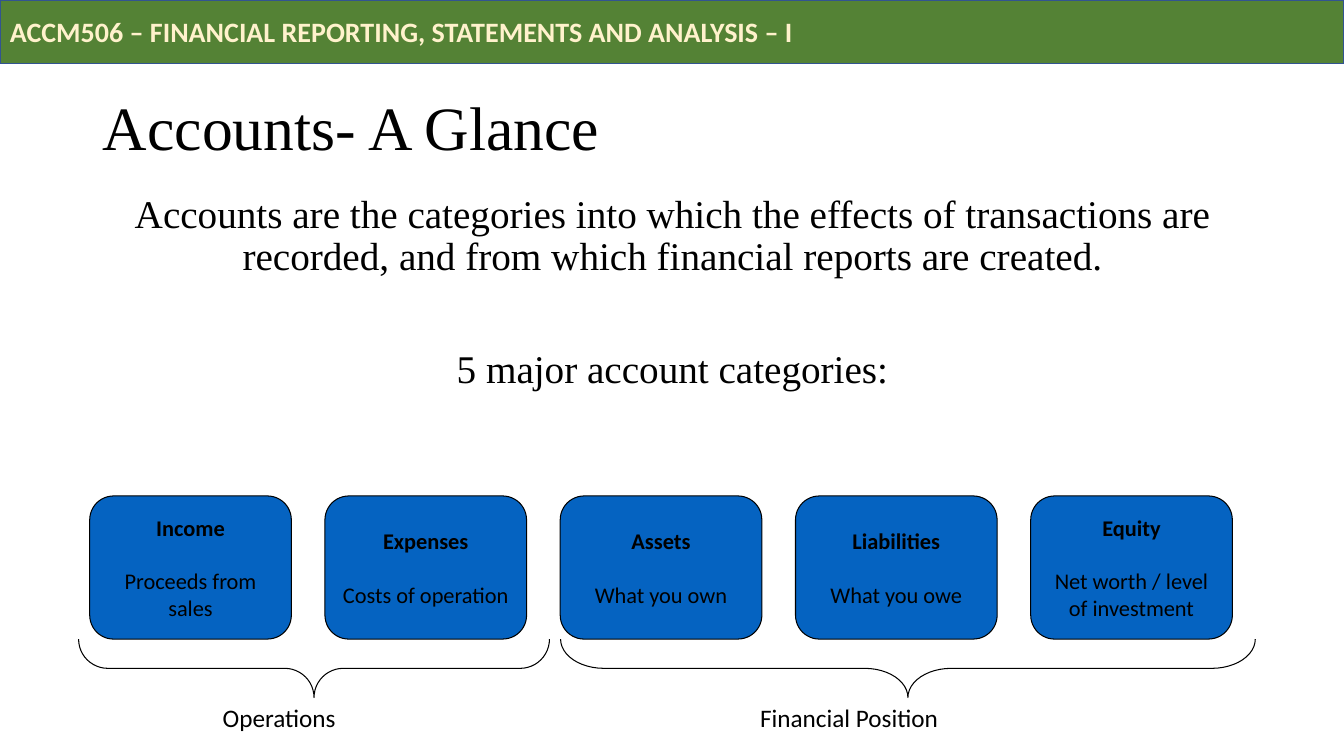
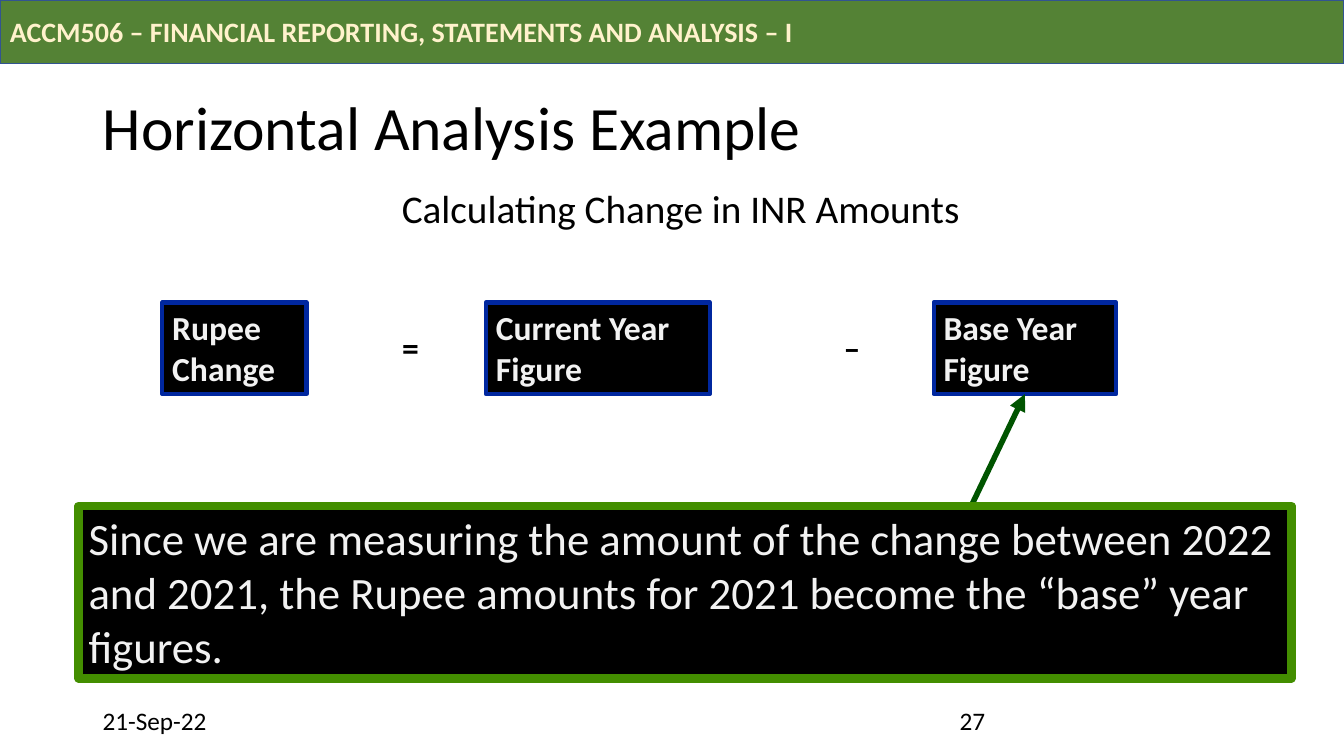
from lxml import etree
from pptx import Presentation
from pptx.dml.color import RGBColor
from pptx.enum.shapes import MSO_CONNECTOR as Link, MSO_SHAPE as Shape
from pptx.enum.text import MSO_ANCHOR as Anchor, PP_ALIGN as Align
from pptx.oxml.ns import qn
from pptx.util import Inches, Pt

SANS, SERIF = "Calibri", "Times New Roman"
BLACK, PALE = "000000", "F2F2F2"
WIDE = 13.33

COURSE = "ACCM506 – FINANCIAL REPORTING, STATEMENTS AND ANALYSIS – I"

INTRO = [
    "Accounts are the categories into which the effects of transactions are "
    "recorded, and from which financial reports are created.",
    "5 major account categories:",
]
CARDS = [
    ("Income", "Proceeds from sales"),
    ("Expenses", "Costs of operation"),
    ("Assets", "What you own"),
    ("Liabilities", "What you owe"),
    ("Equity", "Net worth / level of investment"),
]
# label, label left, label width, brace left, brace right, brace curve
GROUPS = [
    ("Operations", 2.11, 2, 0.78, 5.45, 0.5),
    ("Financial Position", 7.44, 3.22, 5.56, 12.45, 0.74),
]
# lines, left, width
TERMS = [
    (["Rupee", "Change"], 1.61, 1.43),
    (["Current Year", "Figure"], 4.82, 2.22),
    (["Base Year", "Figure"], 9.26, 1.81),
]
SIGNS = [("=", 3.89), ("–", 8.27)]
NOTE = ("Since we are measuring the amount of the change between 2022 and 2021, "
        "the Rupee amounts for 2021 become the “base” year figures.")
FOOTER = [("21-Sep-22", 0.92), ("27", 9.42)]


def rgb(code):
    return RGBColor.from_string(code)


def write(item, lines, size, color=BLACK, face=SANS, bold=False,
          align=Align.LEFT, anchor=Anchor.TOP, space=None, gap=0):
    """Fill a shape with paragraphs, gap points apart."""
    frame = item.text_frame
    frame.word_wrap = True
    frame.vertical_anchor = anchor
    frame.text = "\n".join(lines)
    for i, para in enumerate(frame.paragraphs):
        para.alignment = align
        para.line_spacing = space
        para.space_before = Pt(gap if i else 0)
        font = para.font
        font.name, font.size, font.bold = face, Pt(size), bold
        font.color.rgb = rgb(color)
    return frame


def add_text(slide, box, lines, size, **style):
    item = slide.shapes.add_textbox(*map(Inches, box))
    write(item, lines, size, **style)


def add_box(slide, kind, box, fill, line, width):
    item = slide.shapes.add_shape(kind, *map(Inches, box))
    item.shadow.inherit = False
    if fill:
        item.fill.solid()
        item.fill.fore_color.rgb = rgb(fill)
    else:
        item.fill.background()
    item.line.color.rgb = rgb(line)
    item.line.width = Pt(width)
    return item


def add_brace(slide, left, right, top, depth, curve):
    """Draw a brace that opens upward, by turning a left brace."""
    span = right - left
    box = ((left + right - depth) / 2, top + (depth - span) / 2, depth, span)
    brace = add_box(slide, Shape.LEFT_BRACE, box, None, BLACK, 0.75)
    brace.rotation = 270
    brace.adjustments[0] = curve


def add_arrow(slide, start, target):
    """Draw an arrow from a point to the bottom of the target box."""
    x, y = map(Inches, start)
    arrow = slide.shapes.add_connector(Link.STRAIGHT, x, y, x, y)
    arrow.end_connect(target, 2)
    arrow.line.color.rgb = rgb("005400")
    arrow.line.width = Pt(4)
    etree.SubElement(arrow.line._get_or_add_ln(), qn("a:tailEnd"), type="triangle")
    etree.SubElement(arrow.element.spPr, qn("a:effectLst"))


def add_slide(deck, title, face):
    slide = deck.slides.add_slide(deck.slide_layouts[5])
    head = slide.shapes.title
    head.left, head.top, head.width, head.height = map(
        Inches, (0.92, 0.74, 11.5, 1.1))
    write(head, [title], 44, face=face, anchor=Anchor.MIDDLE, space=0.9)
    return slide


def add_band(slide):
    """Place the course band on the layout, behind every slide that uses it."""
    band = add_box(slide, Shape.RECTANGLE, (0, 0, WIDE, 0.63),
                   "548235", "325491", 1)
    write(band, [COURSE], 20, color="FFF2CC", bold=True, anchor=Anchor.MIDDLE)
    slide.slide_layout.shapes.element.insert(2, band.element)


def show_accounts(deck):
    slide = add_slide(deck, "Accounts- A Glance", SERIF)
    add_band(slide)
    add_text(slide, (0.67, 1.88, 12, 3.2), INTRO, 28, face=SERIF,
             align=Align.CENTER, space=0.9, gap=50)
    for i, card in enumerate(CARDS):
        box = (0.89 + i * 7 / 3, 4.92, 2, 1.42)
        item = add_box(slide, Shape.ROUNDED_RECTANGLE, box, "0563C1", BLACK, 0.75)
        frame = write(item, card, 16, align=Align.CENTER,
                      anchor=Anchor.MIDDLE, gap=19)
        frame.paragraphs[0].font.bold = True
    for label, x, width, left, right, curve in GROUPS:
        add_brace(slide, left, right, 6.34, 0.58, curve)
        add_text(slide, (x, 6.92, width, 0.4), [label], 18)


def show_change(deck):
    slide = add_slide(deck, "Horizontal Analysis Example", SANS)
    add_text(slide, (0.78, 1.83, 11.94, 0.81),
             ["Calculating Change in INR Amounts"], 28,
             align=Align.CENTER, space=0.9)
    for lines, x, width in TERMS:
        term = add_box(slide, Shape.RECTANGLE, (x, 3, width, 0.91),
                       BLACK, "00279F", 3)
        write(term, lines, 24, color=PALE, bold=True)
    for sign, x in SIGNS:
        add_text(slide, (x, 3.19, 0.4, 0.5), [sign], 24, bold=True)
    add_arrow(slide, (9.59, 5.11), term)
    note = add_box(slide, Shape.RECTANGLE, (0.78, 5.02, 12.03, 1.71),
                   BLACK, "438E00", 6)
    write(note, [NOTE], 32, color=PALE)
    for label, x in FOOTER:
        add_text(slide, (x, 6.95, 3, 0.4), [label], 18)


def main():
    deck = Presentation()
    deck.slide_width, deck.slide_height = Inches(WIDE), Inches(7.5)
    show_accounts(deck)
    show_change(deck)
    deck.save("out.pptx")


if __name__ == "__main__":
    main()
